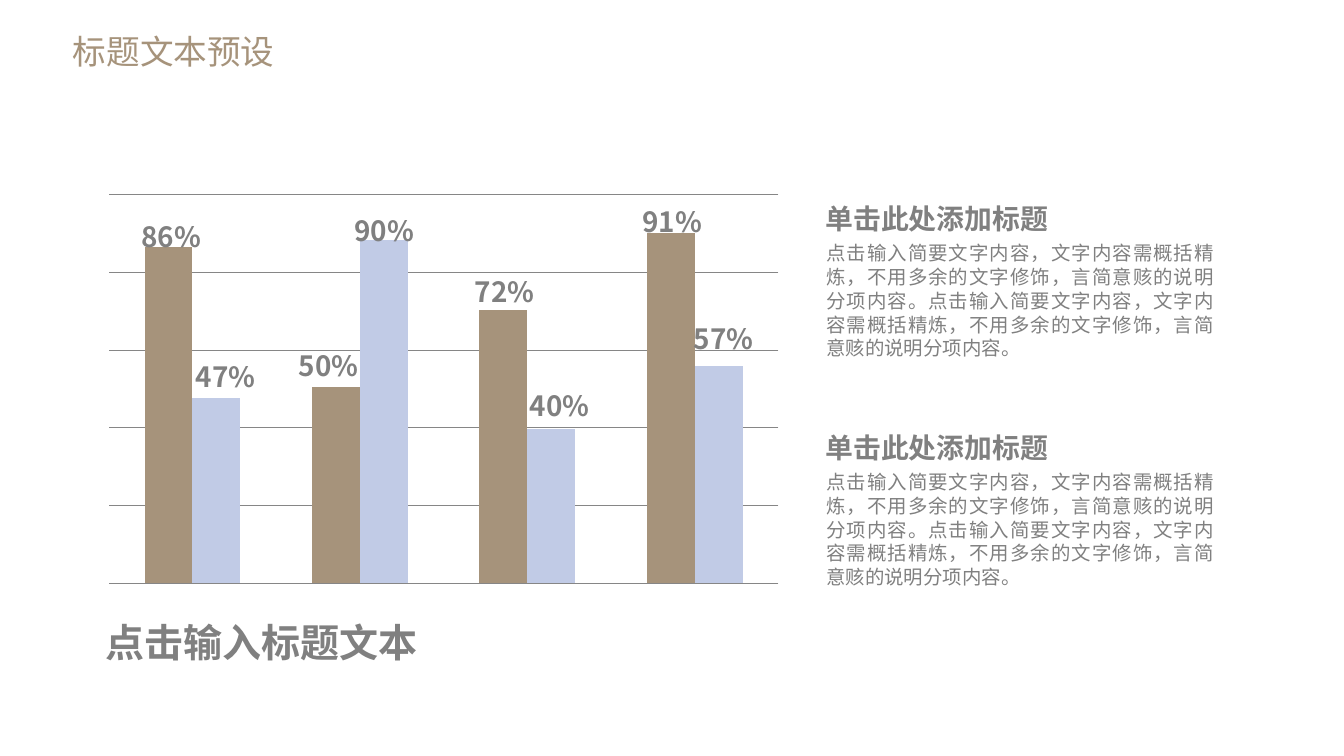
from dataclasses import dataclass

from lxml.etree import SubElement
from pptx import Presentation
from pptx.chart.data import CategoryChartData
from pptx.dml.color import RGBColor
from pptx.enum.chart import XL_CHART_TYPE as ChartType
from pptx.enum.text import MSO_ANCHOR as Anchor, MSO_AUTO_SIZE as AutoSize, PP_ALIGN as Align
from pptx.oxml import parse_xml
from pptx.oxml.ns import nsdecls, qn
from pptx.util import Cm, Pt

FONT = "Noto Sans CJK SC"
TAN, BLUE, GREY = "A6937B", "C1CBE6", "808080"
HEADING = "单击此处添加标题"
SENTENCE = "点击输入简要文字内容，文字内容需概括精炼，不用多余的文字修饰，言简意赅的说明分项内容。"


@dataclass(frozen=True)
class Box:
    """Place and size in centimetres."""
    left: float
    top: float
    width: float
    height: float


@dataclass(frozen=True)
class Style:
    size: float
    color: str = GREY
    bold: bool = False
    align: Align = Align.LEFT
    anchor: Anchor = Anchor.TOP
    grow: bool = True
    wrap: bool = True
    inset: bool = True
    line_pt: float | None = None


@dataclass(frozen=True)
class BarLabel:
    left: float
    top: float
    percent: int


@dataclass(frozen=True)
class Series:
    name: str
    values: tuple[int, ...]
    color: str


TITLE = Style(24, TAN, align=Align.RIGHT)
CAPTION = Style(27.9, bold=True, anchor=Anchor.MIDDLE, grow=False)
SECTION_HEADING = Style(19.9, bold=True)
SECTION_BODY = Style(13.9, align=Align.JUSTIFY, line_pt=17)
LABEL = Style(19.9, bold=True, align=Align.CENTER, wrap=False, inset=False)

SERIES = (
    Series("Series 1", (96, 56, 78, 100), TAN),
    Series("Series 2", (53, 98, 44, 62), BLUE),
)
BAR_LABELS = (
    BarLabel(3.56, 5.54, 86), BarLabel(7.52, 8.79, 50),
    BarLabel(11.96, 6.91, 72), BarLabel(16.18, 5.16, 91),
    BarLabel(4.93, 9.07, 47), BarLabel(8.92, 5.38, 90),
    BarLabel(13.34, 9.8, 40), BarLabel(17.48, 8.1, 57),
)
SECTION_TOPS = (4.95, 10.72)


def rgb(color: str) -> RGBColor:
    return RGBColor.from_string(color)


def place(box: Box) -> tuple[Cm, Cm, Cm, Cm]:
    return Cm(box.left), Cm(box.top), Cm(box.width), Cm(box.height)


def write(shape, text: str, style: Style) -> None:
    frame = shape.text_frame
    frame.word_wrap = style.wrap
    frame.vertical_anchor = style.anchor
    frame.auto_size = AutoSize.SHAPE_TO_FIT_TEXT if style.grow else AutoSize.NONE
    if not style.inset:
        frame.margin_left = frame.margin_right = frame.margin_top = frame.margin_bottom = 0
    paragraph = frame.paragraphs[0]
    paragraph.alignment = style.align
    if style.line_pt:
        paragraph.line_spacing = Pt(style.line_pt)
    run = paragraph.add_run()
    run.text = text
    run.font.size = Pt(style.size)
    run.font.bold = style.bold
    run.font.color.rgb = rgb(style.color)
    run.font.name = FONT
    SubElement(run._r.get_or_add_rPr(), qn("a:ea"), typeface=FONT)


def add_text(slide, box: Box, text: str, style: Style) -> None:
    write(slide.shapes.add_textbox(*place(box)), text, style)


def add_bars(slide, box: Box) -> None:
    data = CategoryChartData()
    data.categories = ["1", "2", "3", "4"]
    for series in SERIES:
        data.add_series(series.name, series.values)
    chart = slide.shapes.add_chart(ChartType.COLUMN_CLUSTERED, *place(box), data).chart
    chart.has_legend = chart.has_title = False
    chart.font.name = "Calibri"
    chart.font.size = Pt(18)
    chart.font.color.rgb = rgb("000000")
    chart.category_axis.visible = False

    axis = chart.value_axis
    axis.visible = False
    axis.minimum_scale, axis.maximum_scale, axis.major_unit = 0, 111, 22.2
    axis.has_major_gridlines = True
    axis.major_gridlines.format.line.color.rgb = rgb("868686")
    axis.major_gridlines.format.line.width = Pt(0.75)

    plot = chart.plots[0]
    plot.gap_width, plot.overlap, plot.vary_by_categories = 150, 0, False
    for bars, series in zip(plot.series, SERIES):
        bars.format.fill.solid()
        bars.format.fill.fore_color.rgb = rgb(series.color)
    fix_plot_area(chart, Box(0.02, 0.02, 0.96, 0.96))


def fix_plot_area(chart, share: Box) -> None:
    """Pin the inner plot area to shares of the chart's size."""
    plot_area = chart._chartSpace.chart.plotArea
    for automatic in plot_area.findall(qn("c:layout")):
        plot_area.remove(automatic)
    plot_area.insert(0, parse_xml(
        f'<c:layout {nsdecls("c")}><c:manualLayout><c:layoutTarget val="inner"/>'
        '<c:xMode val="edge"/><c:yMode val="edge"/>'
        f'<c:x val="{share.left}"/><c:y val="{share.top}"/>'
        f'<c:w val="{share.width}"/><c:h val="{share.height}"/>'
        '</c:manualLayout></c:layout>'))


def main() -> None:
    deck = Presentation()
    deck.slide_width, deck.slide_height = Cm(33.87), Cm(19.05)
    slide = deck.slides.add_slide(deck.slide_layouts[5])

    title = slide.shapes.title
    title.left, title.top, title.width, title.height = place(Box(0.13, 0.64, 7.04, 1.27))
    write(title, "标题文本预设", TITLE)

    add_bars(slide, Box(2.39, 4.7, 17.58, 10.21))
    add_text(slide, Box(2.41, 15.29, 9.93, 1.78), "点击输入标题文本", CAPTION)
    for top in SECTION_TOPS:
        add_text(slide, Box(20.57, top + 0.99, 10.29, 3.28), SENTENCE * 2, SECTION_BODY)
        add_text(slide, Box(20.55, top, 8.94, 1.12), HEADING, SECTION_HEADING)
    for label in BAR_LABELS:
        add_text(slide, Box(label.left, label.top, 1.52, 0.86), f"{label.percent}%", LABEL)

    deck.save("out.pptx")


if __name__ == "__main__":
    main()
